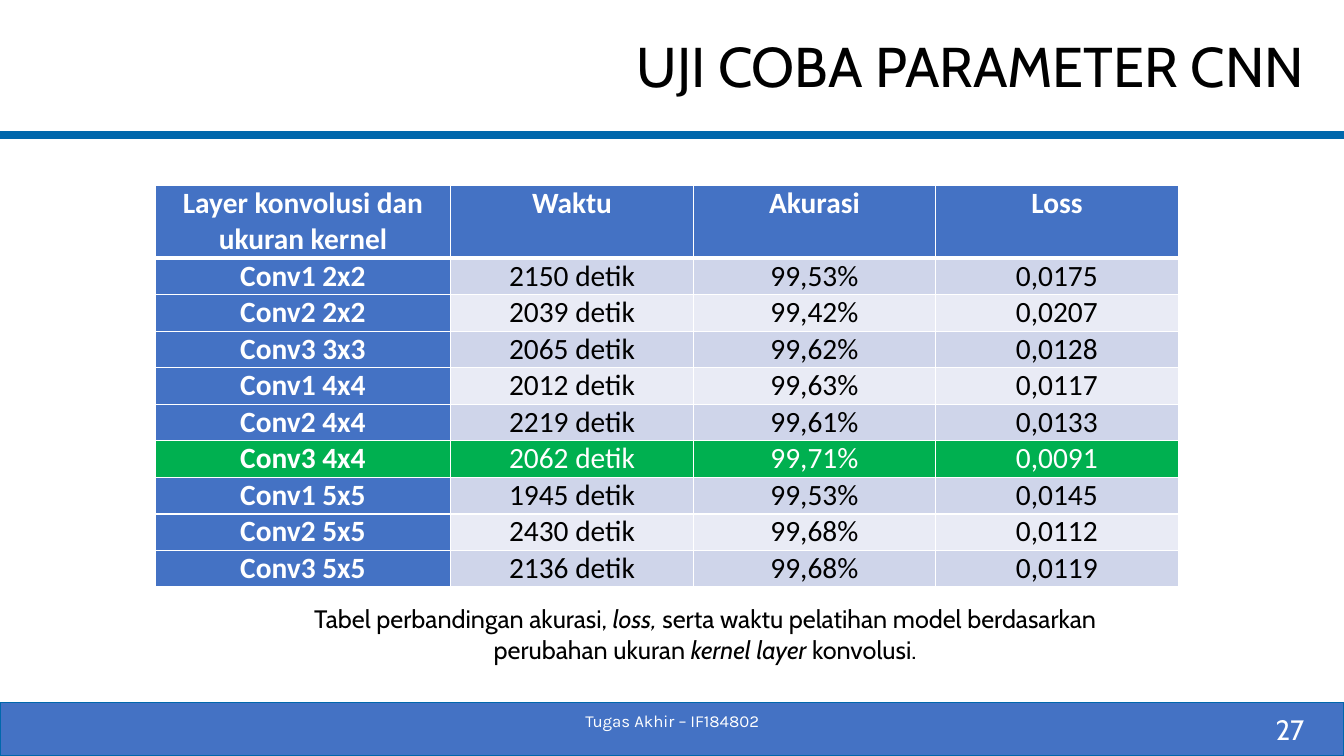
from dataclasses import dataclass
from lxml.etree import SubElement as Sub
from pptx import Presentation
from pptx.dml.color import RGBColor as RGB
from pptx.enum.shapes import MSO_CONNECTOR as Link, MSO_SHAPE as Form
from pptx.enum.text import MSO_ANCHOR as Anchor, PP_ALIGN as Align
from pptx.oxml.ns import qn
from pptx.util import Cm, Pt

# Content
TITLE = "UJI COBA PARAMETER CNN"
FOOT = "Tugas Akhir – IF184802"
PAGE = "27"
HEAD = ("Layer konvolusi dan ukuran kernel", "Waktu", "Akurasi", "Loss")
ROWS = [
    ("Conv1 2x2", "2150 detik", "99,53%", "0,0175"),
    ("Conv2 2x2", "2039 detik", "99,42%", "0,0207"),
    ("Conv3 3x3", "2065 detik", "99,62%", "0,0128"),
    ("Conv1 4x4", "2012 detik", "99,63%", "0,0117"),
    ("Conv2 4x4", "2219 detik", "99,61%", "0,0133"),
    ("Conv3 4x4", "2062 detik", "99,71%", "0,0091"),
    ("Conv1 5x5", "1945 detik", "99,53%", "0,0145"),
    ("Conv2 5x5", "2430 detik", "99,68%", "0,0112"),
    ("Conv3 5x5", "2136 detik", "99,68%", "0,0119"),
]
BEST = "Conv3 4x4"
# Every second part is italic
NOTE = ("Tabel perbandingan akurasi, ", "loss, ",
        "serta waktu pelatihan model berdasarkan perubahan ukuran ",
        "kernel layer ", "konvolusi.")


@dataclass(frozen=True)
class Theme:
    white: str = "FFFFFF"
    black: str = "000000"
    blue: str = "4472C4"
    rule: str = "0067AC"
    green: str = "00B050"
    bands: tuple = ("CFD5EA", "E9EBF5")
    face: str = "Cabin"
    grid: str = "Calibri"
    small: str = "Karla"
    title: int = 40
    cell: int = 21
    page: int = 20
    note: int = 18
    foot: int = 12


T = Theme()
WIDE, HIGH = Cm(33.87), Cm(19.05)


def write(frame, parts, size, color=T.black, face=T.face, bold=False,
          align=Align.CENTER, anchor=Anchor.TOP):
    """Fill a text frame with one paragraph; odd parts are italic."""
    frame.word_wrap = True
    frame.vertical_anchor = anchor
    para = frame.paragraphs[0]
    para.alignment = align
    for i, part in enumerate(parts):
        run = para.add_run()
        run.text = part
        font = run.font
        font.name, font.size = face, Pt(size)
        font.bold, font.italic = bold, i % 2 == 1
        font.color.rgb = RGB.from_string(color)


def paint(fill, color):
    fill.solid()
    fill.fore_color.rgb = RGB.from_string(color)


def edge(cell, base):
    """Draw white borders on a cell; base is the lower width in points."""
    props = cell._tc.get_or_add_tcPr()
    for i, side in enumerate("LRTB"):
        line = Sub(props, qn("a:ln" + side),
                   w=str(Pt(base if side == "B" else 1)))
        Sub(Sub(line, qn("a:solidFill")), qn("a:srgbClr"), val=T.white)
        props.insert(i, line)


deck = Presentation()
deck.slide_width, deck.slide_height = WIDE, HIGH
slide = deck.slides.add_slide(deck.slide_layouts[5])
shapes = slide.shapes

# Title and rule
title = shapes.title
title.left, title.top = Cm(3.91), Cm(0.58)
title.width, title.height = Cm(29.21), Cm(2.13)
write(title.text_frame, [TITLE], T.title, align=Align.RIGHT,
      anchor=Anchor.MIDDLE)
rule = shapes.add_connector(Link.STRAIGHT, 0, Cm(3.4), WIDE, Cm(3.4))
rule.line.color.rgb = RGB.from_string(T.rule)
rule.line.width = Pt(6)
Sub(rule._element.spPr, qn("a:effectLst"))

# Footer bar
top = Cm(17.7)
bar = shapes.add_shape(Form.RECTANGLE, 0, top, WIDE, HIGH - top)
bar.shadow.inherit = False
paint(bar.fill, T.blue)
bar.line.color.rgb = RGB.from_string(T.rule)
bar.line.width = Pt(1)

# Text boxes: place, then format
for place, parts, style in (
    ((25.5, 17.86, 7.62, 1.02), [PAGE],
     dict(size=T.page, color=T.white, align=Align.RIGHT,
          anchor=Anchor.MIDDLE)),
    ((11.23, 17.65, 11.43, 1.02), [FOOT],
     dict(size=T.foot, color=T.white, face=T.small, anchor=Anchor.MIDDLE)),
    ((6.25, 15.09, 23.04, 1.8), NOTE, dict(size=T.note)),
):
    box = shapes.add_textbox(*map(Cm, place))
    write(box.text_frame, parts, **style)

# Table
first, other, step = Cm(7.45), Cm(6.11), Cm(0.92)
count = len(HEAD)
table = shapes.add_table(len(ROWS) + 1, count, Cm(3.91), Cm(4.67),
                         first + (count - 1) * other,
                         step * (len(ROWS) + 2)).table
for c, col in enumerate(table.columns):
    col.width = other if c else first
for r, row in enumerate([HEAD] + ROWS):
    table.rows[r].height = step if r else 2 * step
    best = row[0] == BEST
    for c, text in enumerate(row):
        cell = table.cell(r, c)
        key = r == 0 or c == 0
        band = T.blue if key else T.bands[(r - 1) % 2]
        cell.margin_left = cell.margin_right = Cm(0.5)
        cell.margin_top = cell.margin_bottom = 0
        paint(cell.fill, T.green if best else band)
        edge(cell, 1 if r else 3)
        write(cell.text_frame, [text], T.cell, face=T.grid, bold=key,
              color=T.white if key or best else T.black)

deck.save("out.pptx")
